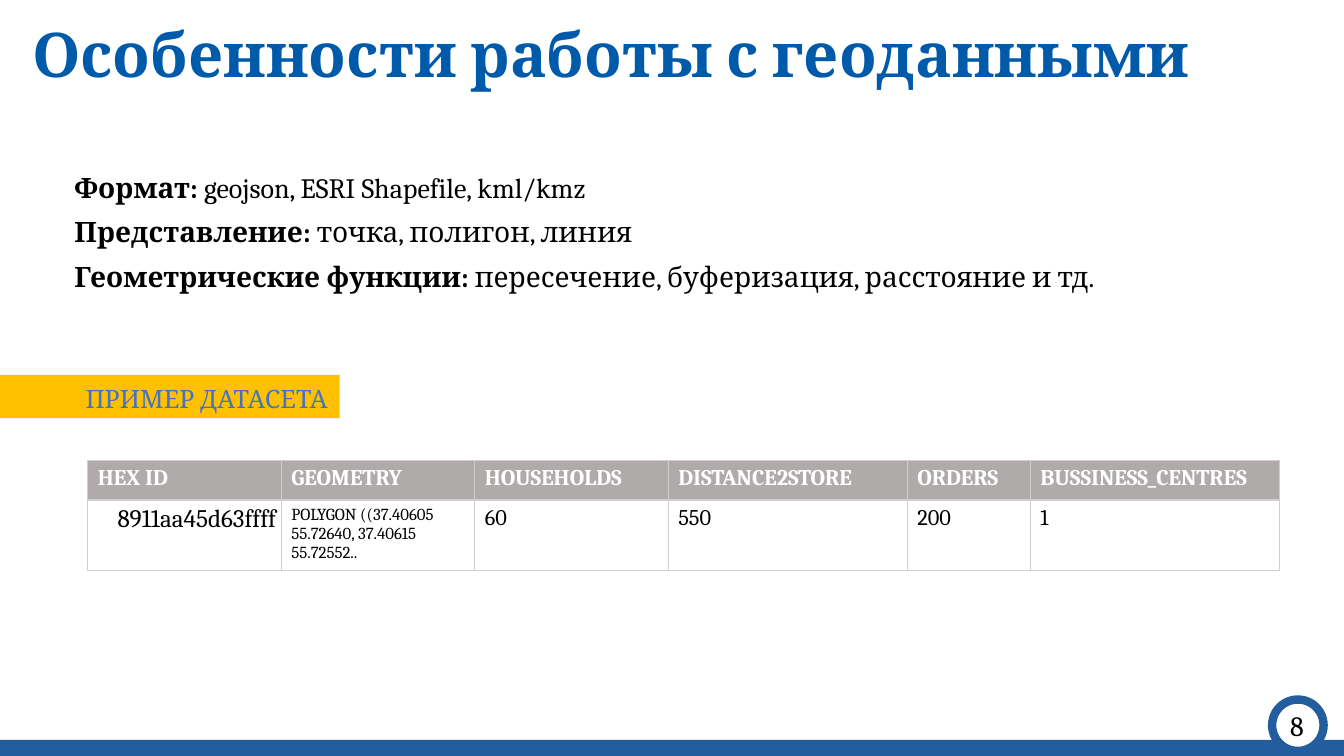
"""Build a slide on working with geodata: key facts and a sample dataset table."""
from lxml import etree
from pptx import Presentation, util as u
from pptx.dml.color import RGBColor
from pptx.enum import shapes, text
from pptx.oxml.ns import qn

rgb = RGBColor.from_string
prs = Presentation()
prs.slide_width, prs.slide_height = u.Inches(13.33), u.Inches(7.5)
s = prs.slides.add_slide(prs.slide_layouts[6])


def place(x, y, w, h):
    """Turn percentages of the slide's size into lengths."""
    return [int(v * side / 100) for v, side in
            zip((x, y, w, h), (prs.slide_width, prs.slide_height) * 2)]


def write(p, words, size, color="000000", bold=False):
    """Add one formatted run to a paragraph."""
    r = p.add_run()
    r.text = words
    for key, value in {"name": "Cambria", "size": u.Pt(size), "bold": bold}.items():
        setattr(r.font, key, value)
    r.font.color.rgb = rgb(color)


RECT, OVAL = shapes.MSO_SHAPE.RECTANGLE, shapes.MSO_SHAPE.OVAL
for kind, at, fill, line in [
    (RECT, (0, 49.6, 25.28, 5.73), "FFC000", None),
    (RECT, (0, 97.87, 100, 2.13), "245D9E", None),
    (OVAL, (94.65, 92.53, 3.83, 6.8), "FFFFFF", "245D9E"),
]:
    sp = s.shapes.add_shape(kind, *place(*at))
    sp.shadow.inherit = False
    sp.fill.solid()
    sp.fill.fore_color.rgb = rgb(fill)
    if line:
        sp.line.color.rgb = rgb(line)
        sp.line.width = u.Pt(6)
    else:
        sp.line.fill.background()

facts = [
    ("Формат: ", "geojson, ESRI Shapefile, kml/kmz"),
    ("Представление: ", "точка, полигон, линия"),
    ("Геометрические функции: ", "пересечение, буферизация, расстояние и тд."),
]
TOP, MIDDLE = text.MSO_ANCHOR.TOP, text.MSO_ANCHOR.MIDDLE
for at, wrap, anchor, spacing, paragraphs in [
    ((95.25, 93.07, 2.7, 5.87), False, TOP, 1.0, [[("8", 20)]]),
    ((1.65, 1.07, 98.35, 13.07), True, MIDDLE, 0.9,
     [[("Особенности работы с геоданными", 44, "005AAA", True)]]),
    ((4.8, 22.4, 90.53, 19.73), True, TOP, 0.9,
     [[(name, 20, "000000", True), (value, 20)] for name, value in facts]),
    ((5.63, 50, 19.65, 5.33), True, TOP, 1.0, [[("ПРИМЕР ДАТАСЕТА", 18, "4472C4")]]),
]:
    tf = s.shapes.add_textbox(*place(*at)).text_frame
    tf.word_wrap, tf.vertical_anchor = wrap, anchor
    for i, runs in enumerate(paragraphs):
        p = tf.add_paragraph() if i else tf.paragraphs[0]
        p.line_spacing = spacing
        p.space_before = u.Pt(10 if i else 0)
        for run in runs:
            write(p, *run)

widths = [14.4, 14.4, 14.4, 17.78, 9.15, 18.53]
heights = [5.2, 7.2]
rows = [
    [("HEX ID", 16), ("GEOMETRY", 16), ("HOUSEHOLDS", 16),
     ("DISTANCE2STORE", 16), ("ORDERS", 16), ("BUSSINESS_CENTRES", 16)],
    [("8911aa45d63ffff", 18), ("POLYGON ((37.40605 55.72640, 37.40615 55.72552..", 12),
     ("60", 16), ("550", 16), ("200", 16), ("1", 16)],
]
table = s.shapes.add_table(len(rows), len(widths),
                           *place(6.53, 60.93, sum(widths), sum(heights))).table
for col, width in zip(table.columns, widths):
    col.width = place(width, 0, 0, 0)[0]
for row, height in zip(table.rows, heights):
    row.height = place(0, height, 0, 0)[1]
for i, row in enumerate(rows):
    for j, (words, size) in enumerate(row):
        cell = table.cell(i, j)
        tcPr = cell._tc.get_or_add_tcPr()
        for side in ("a:lnL", "a:lnR", "a:lnT", "a:lnB"):
            ln = etree.SubElement(tcPr, qn(side), w=str(u.Pt(1)))
            fill = etree.SubElement(ln, qn("a:solidFill"))
            etree.SubElement(fill, qn("a:srgbClr"), val="D0CECE")
        cell.fill.solid()
        cell.fill.fore_color.rgb = rgb("FFFFFF" if i else "AFABAB")
        write(cell.text_frame.paragraphs[0], words, size,
              "000000" if i else "FFFFFF", not i)

hex_id = table.cell(1, 0)
for side in ("left", "right", "top", "bottom"):
    setattr(hex_id, f"margin_{side}", u.Inches(0.05))
hex_id.text_frame.paragraphs[0].alignment = text.PP_ALIGN.RIGHT

prs.save("out.pptx")
